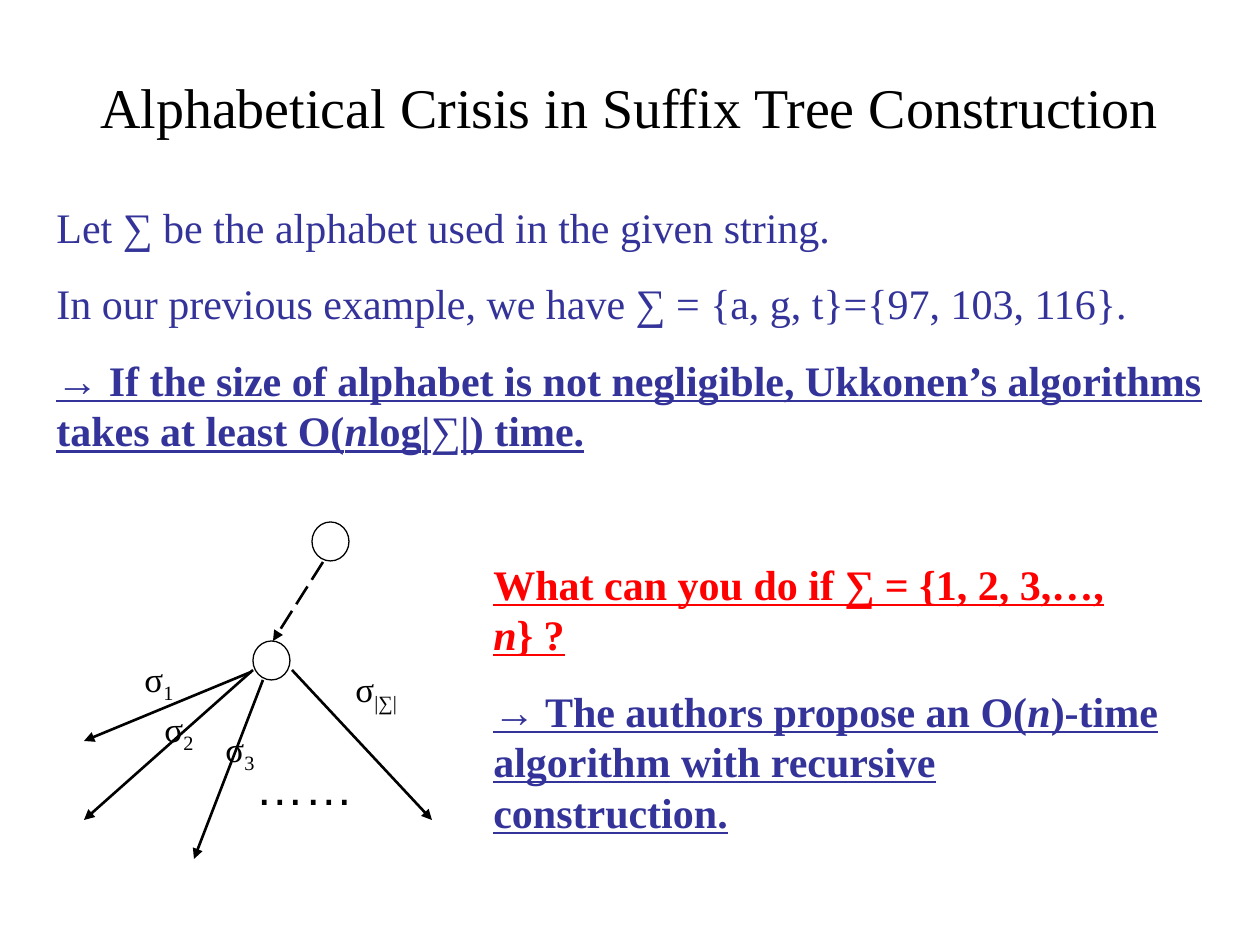
"""Build the slide on alphabet size in suffix tree construction."""
from lxml import etree
from pptx import Presentation
from pptx.dml.color import RGBColor
from pptx.enum.dml import MSO_LINE
from pptx.enum.shapes import MSO_CONNECTOR, MSO_SHAPE
from pptx.enum.text import MSO_ANCHOR, PP_ALIGN
from pptx.oxml.ns import qn
from pptx.util import Pt

PX = 914400 / 126
BLACK = RGBColor(0x00, 0x00, 0x00)
BLUE = RGBColor(0x33, 0x33, 0x99)
RED = RGBColor(0xFF, 0x00, 0x00)
SERIF, SANS = "Times New Roman", "Arial"
STRAIGHT, OVAL = MSO_CONNECTOR.STRAIGHT, MSO_SHAPE.OVAL
MIDDLE, CENTER, LONG_DASH = MSO_ANCHOR.MIDDLE, PP_ALIGN.CENTER, MSO_LINE.LONG_DASH

STRONG = {"bold": True, "underline": True}
STRONG_ITALIC = {**STRONG, "italic": True}
ARROW = ("→", {**STRONG, "name": SANS})

TITLE = "Alphabetical Crisis in Suffix Tree Construction"
PREMISE = [
    (BLUE, [("Let ∑ be the alphabet used in the given string.", {})]),
    (BLUE, [("In our previous example, we have ∑ = {a, g, t}={97, 103, 116}.", {})]),
    (BLUE, [
        ARROW,
        (" If the size of alphabet is not negligible, Ukkonen’s algorithms "
         "takes at least O(", STRONG),
        ("n", STRONG_ITALIC),
        ("log", STRONG),
        ("|", STRONG_ITALIC),
        ("∑", {}),
        ("|", STRONG_ITALIC),
        (") time.", STRONG),
    ]),
]
QUESTION = [
    (RED, [
        ("What can you do if ∑ = {1, 2, 3,…, ", STRONG),
        ("n", STRONG_ITALIC),
        ("} ?", STRONG),
    ]),
    (BLUE, [
        ARROW,
        (" The authors propose an O(", STRONG),
        ("n", STRONG_ITALIC),
        (")-time algorithm with recursive construction.", STRONG),
    ]),
]
NODES = [(312, 522), (253, 641)]
NODE_SIZE = (37, 39)
ROOT_PATH = (323, 562, 273, 641)
BRANCHES = [
    (253, 670, 84, 820),
    (251, 672, 84, 741),
    (292, 670, 432, 820),
    (263, 680, 194, 859),
]
BRANCH_LABELS = [
    ("1", 132, 651, 54),
    ("2", 152, 701, 54),
    ("3", 213, 721, 54),
    ("|∑|", 343, 661, 67),
]


def px(*values):
    return [round(value * PX) for value in values]


def add_text(slide, box, paragraphs, size, font=SERIF, gap=0, wrap=True):
    frame = slide.shapes.add_textbox(*px(*box)).text_frame
    frame.word_wrap = wrap
    for index, (color, runs) in enumerate(paragraphs):
        paragraph = frame.paragraphs[0] if index == 0 else frame.add_paragraph()
        if index:
            paragraph.space_before = Pt(gap)
        paragraph.font.size = Pt(size)
        paragraph.font.name = font
        paragraph.font.color.rgb = color
        for text, styles in runs:
            run = paragraph.add_run()
            run.text = text
            for name, value in styles.items():
                setattr(run.font, name, value)
    return frame


def add_arrow(slide, ends, dash=None):
    connector = slide.shapes.add_connector(STRAIGHT, *px(*ends))
    connector.line.color.rgb = BLACK
    connector.line.width = Pt(1.5)
    if dash is not None:
        connector.line.dash_style = dash
    line = connector.line._get_or_add_ln()
    etree.SubElement(line, qn("a:tailEnd"), type="triangle")
    etree.SubElement(connector._element.spPr, qn("a:effectLst"))


def add_node(slide, position):
    shape = slide.shapes.add_shape(OVAL, *px(*position, *NODE_SIZE))
    shape.shadow.inherit = False
    shape.fill.background()
    shape.line.color.rgb = BLACK
    shape.line.width = Pt(0.75)


def add_branch_label(slide, subscript, left, top, width):
    runs = [("σ", {}), (subscript, {})]
    frame = add_text(slide, (left, top, width, 60), [(BLACK, runs)], 20, wrap=False)
    lowered = frame.paragraphs[0].runs[1]
    lowered._r.get_or_add_rPr().set("baseline", "-25000")


def main():
    presentation = Presentation()
    presentation.slide_width, presentation.slide_height = px(1260, 945)
    slide = presentation.slides.add_slide(presentation.slide_layouts[6])

    title = add_text(slide, (63, 38, 1134, 137), [(BLACK, [(TITLE, {})])], 32)
    title.vertical_anchor = MIDDLE
    title.paragraphs[0].alignment = CENTER
    add_text(slide, (44, 195, 1191, 267), PREMISE, 24, gap=15)

    for branch in BRANCHES:
        add_arrow(slide, branch)
    add_arrow(slide, ROOT_PATH, LONG_DASH)
    for node in NODES:
        add_node(slide, node)
    for label in BRANCH_LABELS:
        add_branch_label(slide, *label)
    add_text(slide, (243, 750, 139, 72), [(BLACK, [("……", {})])], 28, font=SANS)

    add_text(slide, (481, 552, 704, 190), QUESTION, 24, gap=15)
    presentation.save("out.pptx")


if __name__ == "__main__":
    main()
